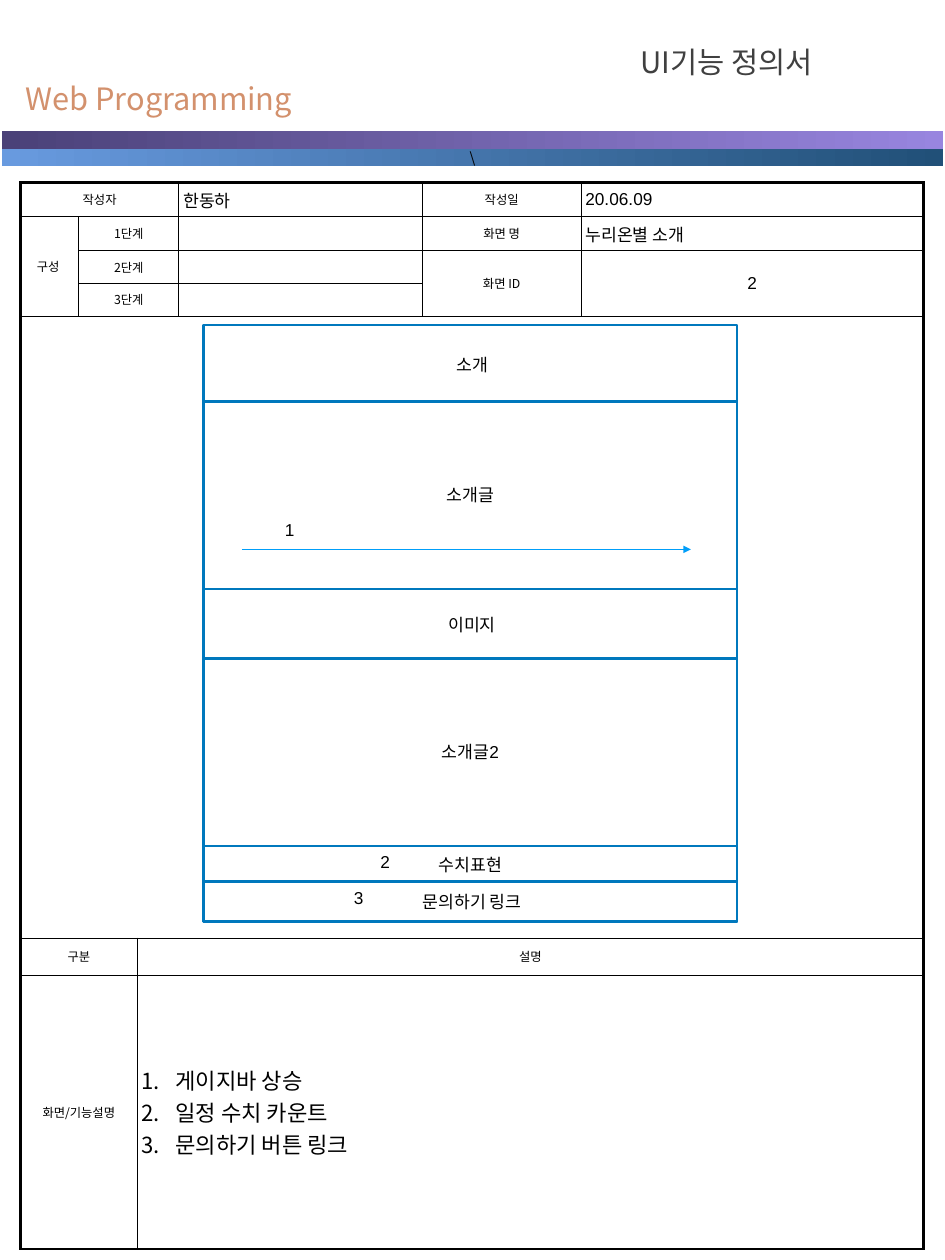
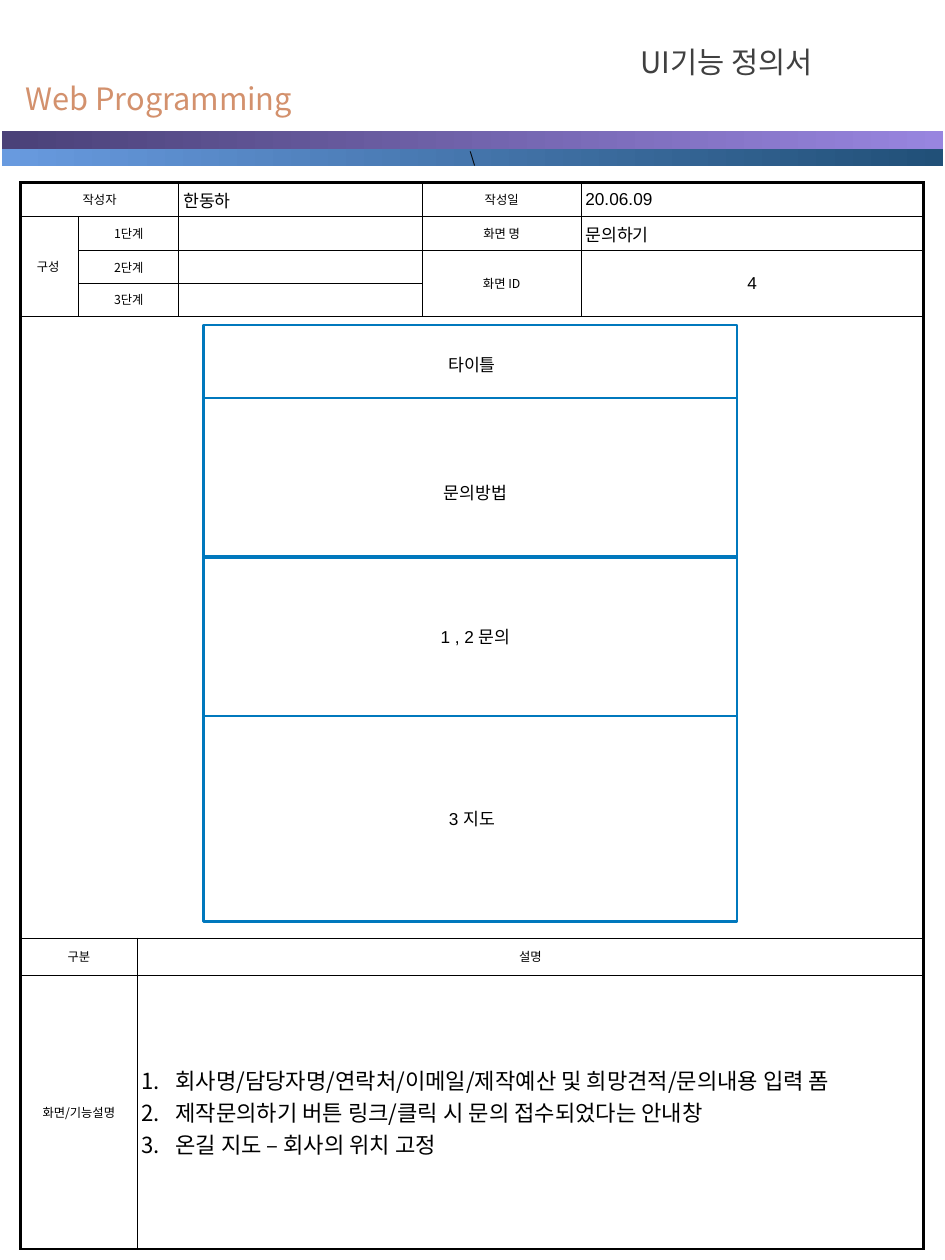
from dataclasses import dataclass
from typing import Optional

from lxml import etree
from pptx import Presentation
from pptx.dml.color import RGBColor
from pptx.enum.shapes import MSO_CONNECTOR, MSO_SHAPE
from pptx.enum.text import MSO_ANCHOR, MSO_AUTO_SIZE, PP_ALIGN
from pptx.oxml.ns import qn
from pptx.util import Inches, Pt

LEFT, CENTER = PP_ALIGN.LEFT, PP_ALIGN.CENTER
TOP, MIDDLE = MSO_ANCHOR.TOP, MSO_ANCHOR.MIDDLE
NO_FIT, GROW = MSO_AUTO_SIZE.NONE, MSO_AUTO_SIZE.SHAPE_TO_FIT_TEXT
RECTANGLE, STRAIGHT = MSO_SHAPE.RECTANGLE, MSO_CONNECTOR.STRAIGHT
TITLE_ONLY = 5
PLAIN_TABLE_STYLE = "{2D5ABB26-0587-4C30-8999-92F81FD0307C}"


@dataclass(frozen=True)
class Theme:
    korean: str = "Noto Sans CJK KR"
    latin: str = "Arial"
    black: str = "000000"
    white: str = "FFFFFF"
    title: str = "404040"
    course: str = "D3916D"
    frame: str = "0078BD"
    arrow: str = "009EF9"
    purple_band: tuple[str, str] = ("4A4178", "9885DF")
    blue_band: tuple[str, str] = ("689ADF", "215078")
    title_size: float = 24
    course_size: float = 25
    note_size: float = 18
    body_size: float = 14
    band_size: float = 12
    heading_size: float = 10
    outer_line: float = 2.25
    cell_line: float = 1
    section_line: float = 0.75


THEME = Theme()
COLUMNS = (0.66, 0.66, 0.47, 2.75, 1.79, 3.87)
ROWS = (0.38, 0.37, 0.37, 0.37, 7.02, 0.42, 3.09)
TABLE_LEFT, TABLE_TOP = 0.23, 2.06
FRAME_LEFT, FRAME_WIDTH = 2.3, 6.02


@dataclass(frozen=True)
class Style:
    size: float
    font: str = THEME.korean
    color: str = THEME.black
    align: PP_ALIGN = LEFT


HEADING = Style(THEME.heading_size, align=CENTER)
AUTHOR = Style(THEME.body_size)
VALUE = Style(THEME.body_size, THEME.latin)
LABEL = Style(THEME.body_size, THEME.latin, align=CENTER)
NOTE = Style(THEME.note_size)


@dataclass(frozen=True)
class Block:
    """A table cell, possibly merged over several rows and columns."""
    row: int
    column: int
    lines: tuple[str, ...] = ()
    style: Style = HEADING
    row_span: int = 1
    column_span: int = 1
    numbered: bool = False


@dataclass(frozen=True)
class Label:
    text: str
    left: float
    top: float
    width: float = 1.82
    height: float = 0.34


@dataclass(frozen=True)
class Screen:
    name: str
    number: str
    notes: tuple[str, ...]
    sections: tuple[tuple[float, float], ...]  # top, height
    labels: tuple[Label, ...]
    arrow: Optional[tuple[float, float, float]] = None  # left, right, y


SCREENS = (
    Screen(
        "누리온별 소개", "2",
        ("게이지바 상승", "일정 수치 카운트", "문의하기 버튼 링크"),
        ((3.67, 6.73), (4.53, 2.12), (7.43, 2.12), (9.95, 0.45)),
        (Label("소개", 4.42, 3.95), Label("소개글", 4.4, 5.42),
         Label("이미지", 4.42, 6.88), Label("소개글2", 4.4, 8.32),
         Label("수치표현", 4.4, 9.59), Label("문의하기 링크", 4.42, 10.01),
         Label("1", 2.73, 5.81, 1.08, 0.35),
         Label("2", 3.81, 9.56, 1.08, 0.35),
         Label("3", 3.51, 9.96, 1.08, 0.35)),
        (2.73, 7.8, 6.2),
    ),
    Screen(
        "문의하기", "4",
        ("회사명/담당자명/연락처/이메일/제작예산 및 희망견적/문의내용 입력 폼",
         "제작문의하기 버튼 링크/클릭 시 문의 접수되었다는 안내창",
         "온길 지도 – 회사의 위치 고정"),
        ((3.67, 6.73), (4.49, 1.8), (6.28, 1.8)),
        (Label("타이틀", 4.42, 3.95), Label("문의방법", 4.46, 5.39),
         Label("1 , 2 문의", 4.46, 7.02), Label("3 지도", 4.42, 9.07)),
    ),
)


def rgb(color: str) -> RGBColor:
    return RGBColor.from_string(color)


def write(paragraph, text: str, style: Style) -> None:
    paragraph.alignment = style.align
    span = paragraph.add_run()
    span.text = text
    span.font.size = Pt(style.size)
    span.font.name = style.font
    span.font.color.rgb = rgb(style.color)
    properties = span._r.get_or_add_rPr()
    etree.SubElement(properties, qn("a:ea")).set("typeface", THEME.korean)


def set_frame(frame, inset: float, anchor: MSO_ANCHOR = TOP) -> None:
    frame.word_wrap = True
    frame.auto_size = NO_FIT
    frame.vertical_anchor = anchor
    frame.margin_left = frame.margin_right = Inches(inset)
    frame.margin_top = frame.margin_bottom = Inches(inset)


def add_band(group, top: float, height: float, colors: tuple[str, str]):
    band = group.shapes.add_shape(
        RECTANGLE, Inches(0.02), Inches(top), Inches(10.63), Inches(height))
    band.shadow.inherit = False
    band.line.fill.background()
    band.fill.gradient()
    band.fill.gradient_angle = 0
    for stop, position, color in zip(band.fill.gradient_stops, (0, 1), colors):
        stop.position = position
        stop.color.rgb = rgb(color)
    return band


def add_header(page) -> None:
    title = page.shapes.title
    title.left, title.top = Inches(7.17), Inches(0.44)
    title.width, title.height = Inches(2.5), Inches(0.56)
    set_frame(title.text_frame, 0.06)
    write(title.text_frame.paragraphs[0], "UI기능 정의서",
          Style(THEME.title_size, color=THEME.title))

    bands = page.shapes.add_group_shape()
    add_band(bands, 1.48, 0.2, THEME.purple_band)
    blue_band = add_band(bands, 1.68, 0.19, THEME.blue_band)
    set_frame(blue_band.text_frame, 0.06, MIDDLE)
    write(blue_band.text_frame.paragraphs[0], "\\",
          Style(THEME.band_size, align=CENTER))

    course = page.shapes.add_textbox(
        Inches(0.23), Inches(0.84), Inches(3.4), Inches(0.51))
    set_frame(course.text_frame, 0.06)
    write(course.text_frame.paragraphs[0], "Web Programming",
          Style(THEME.course_size, color=THEME.course))


def table_blocks(screen: Screen) -> list[Block]:
    steps = [Block(row, 1, (f"{row}단계",), column_span=2) for row in (1, 2, 3)]
    step_values = [Block(row, 3) for row in (1, 2, 3)]
    return [
        Block(0, 0, ("작성자",), column_span=3),
        Block(0, 3, ("한동하",), AUTHOR),
        Block(0, 4, ("작성일",)),
        Block(0, 5, ("20.06.09",), VALUE),
        Block(1, 0, ("구성 ",), row_span=3),
        *steps,
        *step_values,
        Block(1, 4, ("화면 명",)),
        Block(1, 5, (screen.name,), VALUE),
        Block(2, 4, ("화면 ID",), row_span=2),
        Block(2, 5, (screen.number,), LABEL, row_span=2),
        Block(4, 0, column_span=6),
        Block(5, 0, ("구분",), column_span=2),
        Block(5, 2, ("설명",), column_span=4),
        Block(6, 0, ("화면/기능설명",), column_span=2),
        Block(6, 2, screen.notes, NOTE, column_span=4, numbered=True),
    ]


def row_line(edge: int) -> float:
    if edge in (0, len(ROWS)):
        return THEME.outer_line
    return THEME.section_line if edge >= 4 else THEME.cell_line


def column_line(edge: int) -> float:
    if edge in (0, len(COLUMNS)):
        return THEME.outer_line
    return THEME.section_line if edge == 5 else THEME.cell_line


def add_border(cell, side: str, width: float) -> None:
    properties = cell._tc.get_or_add_tcPr()
    line = etree.SubElement(properties, qn(f"a:ln{side}"), w=str(Pt(width)))
    fill = etree.SubElement(line, qn("a:solidFill"))
    etree.SubElement(fill, qn("a:srgbClr"), val=THEME.black)


def format_block(table, block: Block) -> None:
    """Draw the outline and fill of every grid cell that the block covers."""
    bottom, right = block.row + block.row_span, block.column + block.column_span
    for row in range(block.row, bottom):
        for column in range(block.column, right):
            cell = table.cell(row, column)
            origin = (row, column) == (block.row, block.column)
            edges = (
                ("L", column == block.column, column_line(block.column)),
                ("R", column == right - 1, column_line(right)),
                ("T", row == block.row, row_line(block.row)),
                ("B", row == bottom - 1, row_line(bottom)),
            )
            for side, on_outline, width in edges:
                if origin or on_outline:
                    add_border(cell, side, width)
            cell.fill.solid()
            cell.fill.fore_color.rgb = rgb(THEME.white)
            cell.vertical_anchor = MIDDLE
            cell.margin_left = cell.margin_right = Inches(0.05)
            cell.margin_top = cell.margin_bottom = Inches(0.05)
            if not (origin and block.lines):
                paragraph = cell.text_frame.paragraphs[0]._p
                end = etree.SubElement(paragraph, qn("a:endParaRPr"))
                end.set("sz", str(int(THEME.heading_size * 100)))


def number_paragraph(paragraph) -> None:
    properties = paragraph._p.get_or_add_pPr()
    properties.set("marL", str(Inches(0.38)))
    properties.set("indent", str(-Inches(0.38)))
    etree.SubElement(properties, qn("a:buAutoNum"), type="arabicPeriod")


def add_form(page, screen: Screen) -> None:
    shape = page.shapes.add_table(
        len(ROWS), len(COLUMNS), Inches(TABLE_LEFT), Inches(TABLE_TOP),
        Inches(sum(COLUMNS)), Inches(sum(ROWS)))
    table = shape.table
    table.first_row = table.horz_banding = False
    table._tbl.tblPr.find(qn("a:tableStyleId")).text = PLAIN_TABLE_STYLE
    for column, width in zip(table.columns, COLUMNS):
        column.width = Inches(width)
    for row, height in zip(table.rows, ROWS):
        row.height = Inches(height)
    for block in table_blocks(screen):
        cell = table.cell(block.row, block.column)
        if block.row_span * block.column_span > 1:
            cell.merge(table.cell(block.row + block.row_span - 1,
                                  block.column + block.column_span - 1))
        format_block(table, block)
        frame = cell.text_frame
        for index, text in enumerate(block.lines):
            paragraph = frame.add_paragraph() if index else frame.paragraphs[0]
            write(paragraph, text, block.style)
            if block.numbered:
                number_paragraph(paragraph)


def add_arrow(page, left: float, right: float, y: float) -> None:
    arrow = page.shapes.add_connector(
        STRAIGHT, Inches(left), Inches(y), Inches(right), Inches(y))
    arrow.line.color.rgb = rgb(THEME.arrow)
    arrow.line.width = Pt(0.75)
    properties = arrow._element.spPr
    etree.SubElement(properties.find(qn("a:ln")), qn("a:tailEnd"), type="triangle")
    etree.SubElement(properties, qn("a:effectLst"))


def add_wireframe(page, screen: Screen) -> None:
    for top, height in screen.sections:
        section = page.shapes.add_shape(
            RECTANGLE, Inches(FRAME_LEFT), Inches(top), Inches(FRAME_WIDTH), Inches(height))
        section.shadow.inherit = False
        section.fill.background()
        section.line.color.rgb = rgb(THEME.frame)
        section.line.width = Pt(2)
    if screen.arrow:
        add_arrow(page, *screen.arrow)
    for label in screen.labels:
        box = page.shapes.add_textbox(Inches(label.left), Inches(label.top),
                                      Inches(label.width), Inches(label.height))
        box.text_frame.word_wrap = True
        box.text_frame.auto_size = GROW
        write(box.text_frame.paragraphs[0], label.text, LABEL)


def main() -> None:
    deck = Presentation()
    deck.slide_width, deck.slide_height = Inches(10.67), Inches(14.22)
    for screen in SCREENS:
        page = deck.slides.add_slide(deck.slide_layouts[TITLE_ONLY])
        add_form(page, screen)
        add_header(page)
        add_wireframe(page, screen)
    deck.save("out.pptx")


if __name__ == "__main__":
    main()
